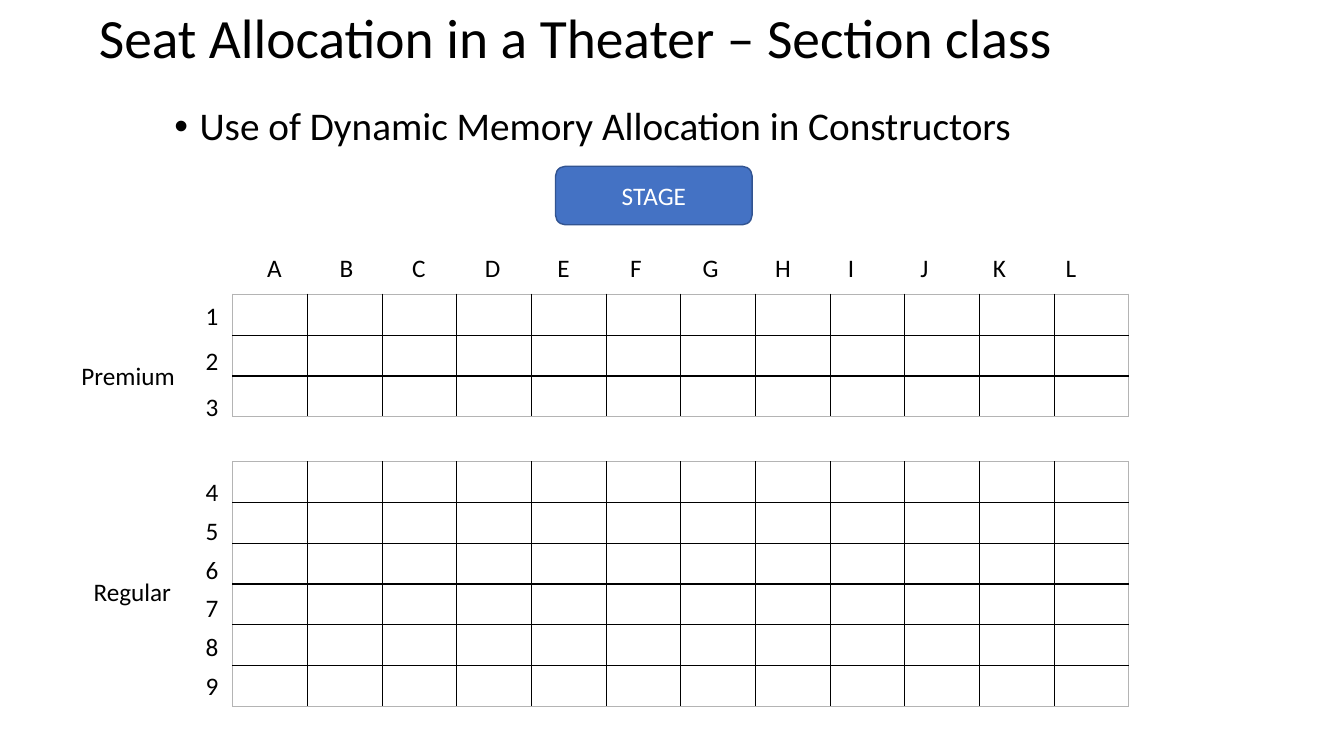
from lxml import etree
from pptx import Presentation
from pptx.dml.color import RGBColor
from pptx.enum.shapes import MSO_SHAPE
from pptx.enum.text import MSO_ANCHOR, MSO_AUTO_SIZE, PP_ALIGN
from pptx.oxml.ns import qn
from pptx.util import Inches, Pt

ROUNDED = MSO_SHAPE.ROUNDED_RECTANGLE
MIDDLE, TOP = MSO_ANCHOR.MIDDLE, MSO_ANCHOR.TOP
NO_FIT = MSO_AUTO_SIZE.NONE
LEFT, CENTER = PP_ALIGN.LEFT, PP_ALIGN.CENTER
BLACK = RGBColor(0x00, 0x00, 0x00)
WHITE = RGBColor(0xFF, 0xFF, 0xFF)
STAGE_BLUE = RGBColor(0x44, 0x72, 0xC4)
STAGE_EDGE = RGBColor(0x32, 0x54, 0x91)
OUTER_GRAY = RGBColor(0xB4, 0xB4, 0xB4)
FONT = "Calibri"
SEAT_LETTERS = "ABCDEFGHIJKL"
SEAT_LEFT, SEAT_WIDTH, SEAT_HEIGHT = 2.31, 8.89 / 12, 0.405
LETTER_PITCH = 0.72


def format_text(frame, size, color=BLACK, align=LEFT):
    """Apply one font and alignment to all paragraphs of a frame."""
    for paragraph in frame.paragraphs:
        paragraph.alignment = align
        for run in paragraph.runs:
            run.font.name = FONT
            run.font.size = Pt(size)
            run.font.color.rgb = color


def fill_placeholder(holder, box, text, size, anchor):
    """Move a template placeholder into its box and set its text."""
    holder.left, holder.top, holder.width, holder.height = map(Inches, box)
    frame = holder.text_frame
    frame.text = text
    frame.auto_size = NO_FIT
    frame.vertical_anchor = anchor
    frame.paragraphs[0].line_spacing = 0.9
    format_text(frame, size)
    return frame.paragraphs[0]


def add_heading(slide):
    """Place the slide title and the bulleted topic."""
    fill_placeholder(slide.shapes.title, (0.88, 0.2, 11.5, 0.4),
                     "Seat Allocation in a Theater – Section class", 39.6, MIDDLE)
    topic = fill_placeholder(slide.placeholders[1], (1.63, 1.01, 9.57, 0.63),
                             "Use of Dynamic Memory Allocation in Constructors", 28, TOP)
    topic.space_before = Pt(10)
    properties = topic._p.get_or_add_pPr()
    properties.set("marL", str(Inches(0.25)))
    properties.set("indent", str(-Inches(0.25)))
    etree.SubElement(properties, qn("a:buFont"), typeface="Arial")
    etree.SubElement(properties, qn("a:buChar"), char="•")


def add_stage(slide, box):
    """Draw the stage block."""
    stage = slide.shapes.add_shape(ROUNDED, *map(Inches, box))
    stage.shadow.inherit = False
    stage.fill.solid()
    stage.fill.fore_color.rgb = STAGE_BLUE
    stage.line.color.rgb = STAGE_EDGE
    stage.line.width = Pt(1)
    stage.text_frame.text = "STAGE"
    stage.text_frame.vertical_anchor = MIDDLE
    format_text(stage.text_frame, 18, WHITE, CENTER)


def add_label(slide, box, text, wrap=False):
    """Add a text box in the label size and return its frame."""
    frame = slide.shapes.add_textbox(*map(Inches, box)).text_frame
    frame.word_wrap = wrap
    frame.text = text
    format_text(frame, 18)
    return frame


def add_letters(slide, box):
    """Space the seat letters evenly with tab stops."""
    frame = add_label(slide, box, "\t".join(SEAT_LETTERS), wrap=True)
    tabs = etree.SubElement(frame.paragraphs[0]._p.get_or_add_pPr(), qn("a:tabLst"))
    for index in range(1, len(SEAT_LETTERS)):
        etree.SubElement(tabs, qn("a:tab"), pos=str(Inches(index * LETTER_PITCH)), algn="l")


def set_borders(cell, outer_sides):
    """Line a seat in black, or gray on the outer sides of its section."""
    properties = cell._tc.get_or_add_tcPr()
    for side, is_outer in outer_sides.items():
        line = etree.SubElement(properties, qn(f"a:ln{side}"), w=str(Pt(1)))
        fill = etree.SubElement(line, qn("a:solidFill"))
        color = OUTER_GRAY if is_outer else BLACK
        etree.SubElement(fill, qn("a:srgbClr"), val=str(color))


def add_seats(slide, top, row_count):
    """Build the empty seat table of one section."""
    column_count = len(SEAT_LETTERS)
    box = (SEAT_LEFT, top, SEAT_WIDTH * column_count, SEAT_HEIGHT * row_count)
    seats = slide.shapes.add_table(row_count, column_count, *map(Inches, box)).table
    seats.first_row = seats.horz_banding = False
    for column in seats.columns:
        column.width = Inches(SEAT_WIDTH)
    for r, row in enumerate(seats.rows):
        row.height = Inches(SEAT_HEIGHT)
        for c, cell in enumerate(row.cells):
            set_borders(cell, {"L": c == 0, "R": c == column_count - 1,
                               "T": r == 0, "B": r == row_count - 1})
            cell.fill.background()


def add_section(slide, top, name, name_box, numbers, numbers_box, line_spacing, space_after):
    """Place a section's seats, its name and its row numbers."""
    add_seats(slide, top, len(numbers))
    add_label(slide, name_box, name)
    frame = add_label(slide, numbers_box, "\n".join(map(str, numbers)))
    for paragraph in frame.paragraphs:
        paragraph.line_spacing = line_spacing
        paragraph.space_after = Pt(space_after)


def main():
    """Build and save the seat allocation slide."""
    deck = Presentation()
    deck.slide_width, deck.slide_height = Inches(13.33), Inches(7.5)
    slide = deck.slides.add_slide(deck.slide_layouts[1])
    add_heading(slide)
    add_stage(slide, (5.51, 1.65, 1.95, 0.58))
    add_letters(slide, (2.55, 2.45, 8.42, 0.4))
    add_section(slide, 2.92, "Premium", (0.71, 3.53, 1.14, 0.4),
                range(1, 4), (1.94, 2.78, 0.33, 1.42), 1.5, 0)
    add_section(slide, 4.58, "Regular", (0.83, 5.67, 0.98, 0.4),
                range(4, 10), (1.94, 4.68, 0.33, 2.34), 1.0, 6)
    deck.save("out.pptx")


if __name__ == "__main__":
    main()
